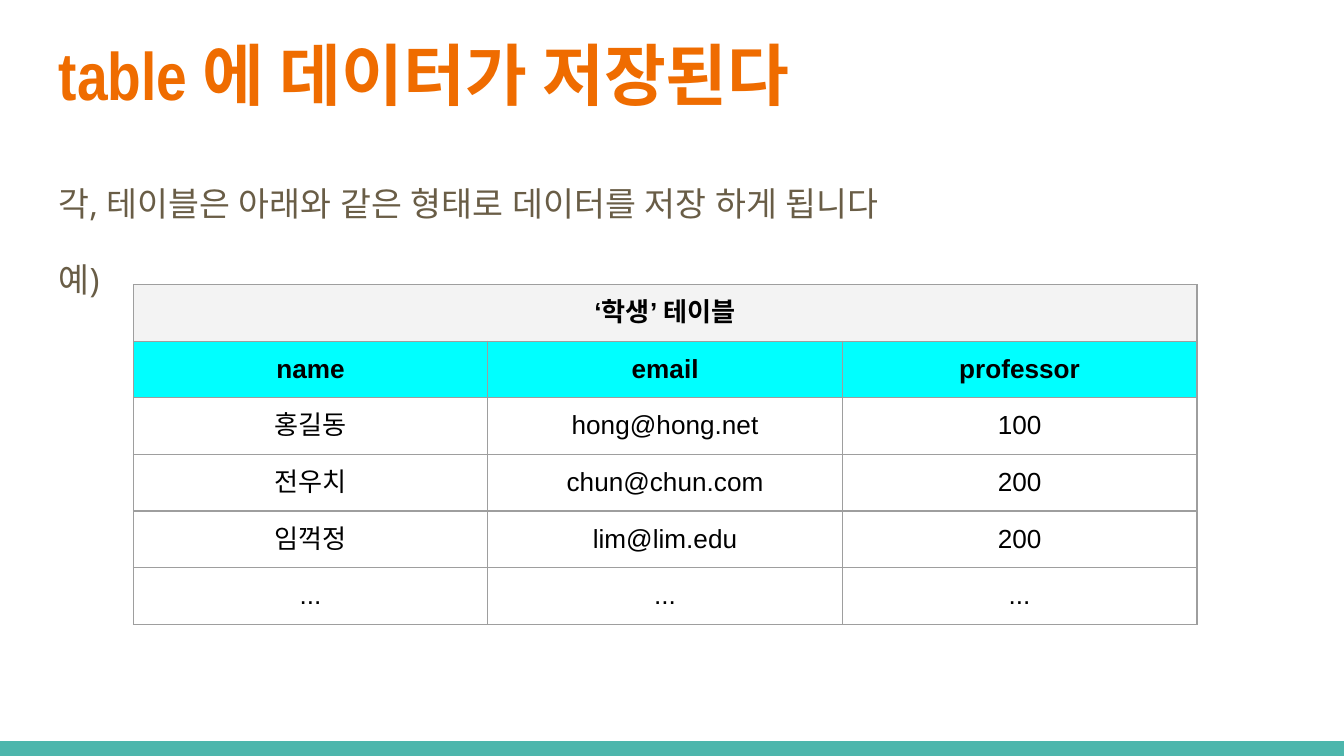
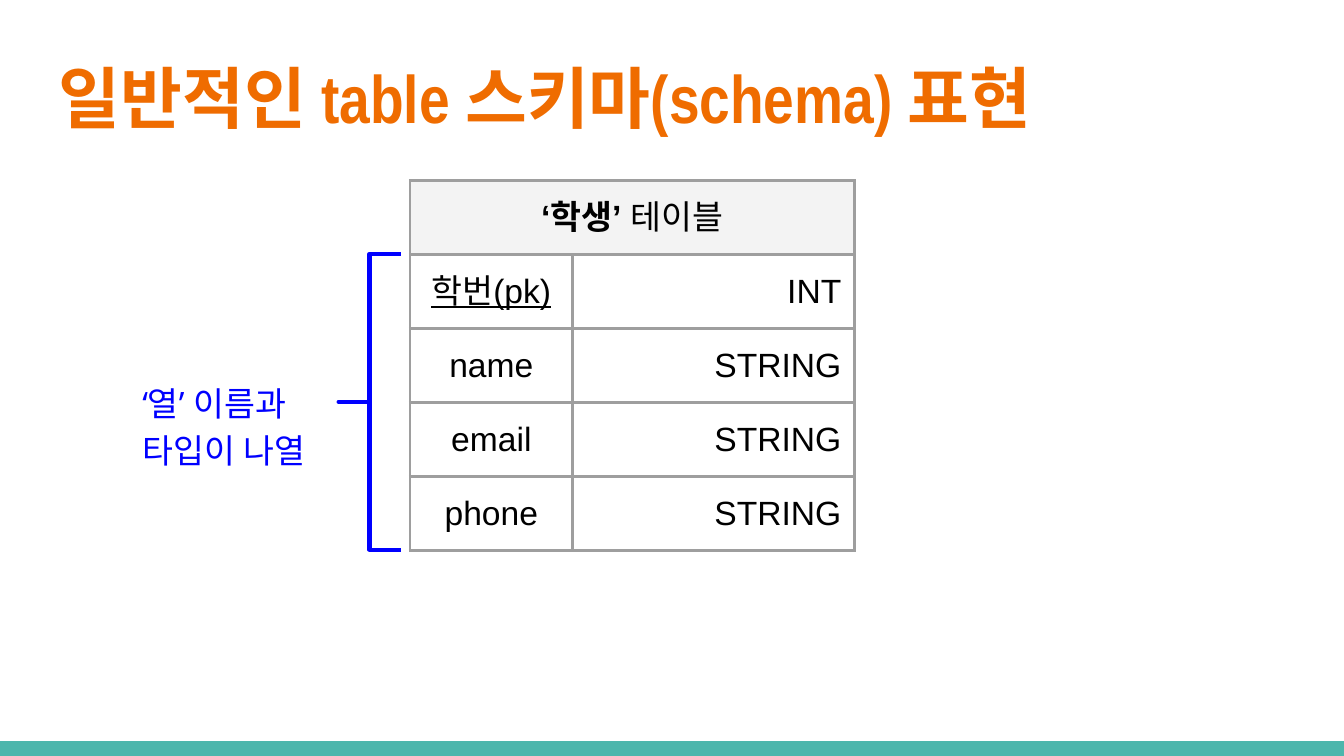
from dataclasses import dataclass, field
from typing import Any

from lxml import etree
from pptx import Presentation
from pptx import util as u
from pptx.dml.color import RGBColor
from pptx.enum import shapes, text
from pptx.oxml.ns import qn

COLOURS = {
    "title": "EF6C00",
    "body": "695D46",
    "band": "4DB6AC",
    "note": "0000FF",
    "cell": "000000",
    "border": "9E9E9E",
    "caption": "F3F3F3",
    "header": "00FFFF",
}
LEFT, CENTER, RIGHT = text.PP_ALIGN.LEFT, text.PP_ALIGN.CENTER, text.PP_ALIGN.RIGHT
TOP, MIDDLE = text.MSO_ANCHOR.TOP, text.MSO_ANCHOR.MIDDLE
SLIDE_WIDTH, SLIDE_HEIGHT = u.Cm(25.4), u.Cm(14.29)
BAND_HEIGHT = u.Cm(0.28)
MARGIN, CONTENT_WIDTH = 0.86, 23.67
INSET = 0.25
INSET_SIDES = ("margin_left", "margin_top", "margin_right", "margin_bottom")


@dataclass(frozen=True)
class Style:
    font: str
    size: float
    colour: str
    bold: bool = False
    underline: bool = False


@dataclass(frozen=True)
class Run:
    words: str
    style: Style


@dataclass(frozen=True)
class Paragraph:
    runs: list[Run]
    spacing: dict[str, Any] = field(default_factory=dict)


@dataclass(frozen=True)
class Box:
    left: float
    top: float
    width: float
    height: float

    def lengths(self) -> tuple[u.Length, ...]:
        return tuple(u.Cm(n) for n in (self.left, self.top, self.width, self.height))


@dataclass(frozen=True)
class Cell:
    runs: list[Run]
    align: Any = CENTER
    fill: str | None = None


@dataclass(frozen=True)
class Grid:
    left: float
    top: float
    columns: list[float]
    row_height: float
    border_width: float
    anchor: Any
    rows: list[list[Cell]]


TITLE = Style("Arial Narrow", 36, "title", bold=True)
BODY = Style("Open Sans", 18, "body")
NOTE = Style("Open Sans", 18, "note")
RECORD = Style("Arial", 14, "cell")
RECORD_BOLD = Style("Arial", 14, "cell", bold=True)
SCHEMA = Style("Arial", 18, "cell")
SCHEMA_BOLD = Style("Arial", 18, "cell", bold=True)
SCHEMA_KEY = Style("Arial", 18, "cell", underline=True)


def rgb(name: str) -> RGBColor:
    return RGBColor.from_string(COLOURS[name])


def apply(target: Any, values: dict[str, Any]) -> None:
    for name, value in values.items():
        setattr(target, name, value)


def style_run(run: Any, style: Style) -> None:
    """Format a run, using the same typeface for Latin and Korean letters."""
    apply(run.font, {
        "name": style.font,
        "size": u.Pt(style.size),
        "bold": style.bold,
        "underline": style.underline,
    })
    run.font.color.rgb = rgb(style.colour)
    latin = run.font._element.find(qn("a:latin"))
    for tag in ("a:cs", "a:ea"):
        typeface = etree.Element(qn(tag), typeface=style.font)
        latin.addnext(typeface)


def write_runs(paragraph: Any, runs: list[Run], align: Any) -> None:
    paragraph.alignment = align
    for part in runs:
        for index, line in enumerate(part.words.split("\n")):
            if index:
                paragraph.add_line_break()
            run = paragraph.add_run()
            run.text = line
            style_run(run, part.style)


def write_frame(frame: Any, paragraphs: list[Paragraph], anchor: Any = TOP,
                inset: float = INSET) -> None:
    apply(frame, {
        "word_wrap": True,
        "auto_size": text.MSO_AUTO_SIZE.NONE,
        "vertical_anchor": anchor,
        **dict.fromkeys(INSET_SIDES, u.Cm(inset)),
    })
    for index, content in enumerate(paragraphs):
        paragraph = frame.add_paragraph() if index else frame.paragraphs[0]
        apply(paragraph, content.spacing)
        write_runs(paragraph, content.runs, LEFT)


def add_text(slide: Any, box: Box, paragraphs: list[Paragraph], anchor: Any = TOP,
             inset: float = INSET) -> None:
    frame = slide.shapes.add_textbox(*box.lengths()).text_frame
    write_frame(frame, paragraphs, anchor, inset)


def add_titled_slide(deck: Any, title: str, top: float) -> Any:
    """Add a slide with the bottom band and its title."""
    slide = deck.slides.add_slide(deck.slide_layouts[5])
    band = slide.shapes.add_shape(shapes.MSO_SHAPE.RECTANGLE, 0, SLIDE_HEIGHT - BAND_HEIGHT,
                                  SLIDE_WIDTH, BAND_HEIGHT)
    band.shadow.inherit = False
    band.fill.solid()
    band.fill.fore_color.rgb = rgb("band")
    band.line.fill.background()

    heading = slide.shapes.title
    lengths = Box(MARGIN, top, CONTENT_WIDTH, 1.96).lengths()
    apply(heading, dict(zip(("left", "top", "width", "height"), lengths)))
    write_frame(heading.text_frame, [Paragraph([Run(title, TITLE)])])
    return slide


def border_cell(cell: Any, width: float) -> None:
    properties = cell._tc.get_or_add_tcPr()
    for index, tag in enumerate(("a:lnL", "a:lnR", "a:lnT", "a:lnB")):
        line = etree.Element(qn(tag), w=str(u.Pt(width)))
        fill = etree.SubElement(line, qn("a:solidFill"))
        etree.SubElement(fill, qn("a:srgbClr"), val=COLOURS["border"])
        properties.insert(index, line)


def add_grid(slide: Any, grid: Grid) -> None:
    """Add a table whose first row is one caption cell across all columns."""
    count = len(grid.rows)
    box = Box(grid.left, grid.top, sum(grid.columns), count * grid.row_height)
    table = slide.shapes.add_table(count, len(grid.columns), *box.lengths()).table
    apply(table, {"first_row": False, "horz_banding": False})
    for column, width in zip(table.columns, grid.columns):
        column.width = u.Cm(width)
    for row in table.rows:
        row.height = u.Cm(grid.row_height)
    table.cell(0, 0).merge(table.cell(0, len(grid.columns) - 1))

    for row, contents in zip(table.rows, grid.rows):
        for cell, content in zip(row.cells, contents):
            apply(cell, {"vertical_anchor": grid.anchor,
                         **dict.fromkeys(INSET_SIDES, u.Cm(INSET))})
            write_runs(cell.text_frame.paragraphs[0], content.runs, content.align)
            if content.fill:
                cell.fill.solid()
                cell.fill.fore_color.rgb = rgb(content.fill)
        for cell in row.cells:
            if cell.fill.type is None:
                cell.fill.background()
            border_cell(cell, grid.border_width)


def add_records_slide(deck: Any) -> None:
    slide = add_titled_slide(deck, "table 에 데이터가 저장된다", 0.38)
    add_text(slide, Box(MARGIN, 3.1, CONTENT_WIDTH, 1.57), [
        Paragraph([Run("각, 테이블은 아래와 같은 형태로 데이터를 저장 하게 됩니다", BODY)],
                  {"line_spacing": 1.15}),
        Paragraph([Run("예) ", BODY)],
                  {"line_spacing": 1.15, "space_before": u.Pt(16), "space_after": u.Pt(16)}),
    ])
    students = [
        ("홍길동", "hong@hong.net", "100"),
        ("전우치", "chun@chun.com", "200"),
        ("임꺽정", "lim@lim.edu", "200"),
        ("...", "...", "..."),
    ]
    caption = [Cell([Run("‘학생’ 테이블", RECORD_BOLD)], fill="caption")]
    header = [Cell([Run(name, RECORD_BOLD)], fill="header")
              for name in ("name", "email", "professor")]
    records = [[Cell([Run(value, RECORD)]) for value in student] for student in students]
    add_grid(slide, Grid(2.52, 5.38, [6.7] * 3, 1.07, 0.75, TOP, [caption, header, *records]))


def add_schema_slide(deck: Any) -> None:
    slide = add_titled_slide(deck, "일반적인 table 스키마(schema) 표현", 0.81)
    columns = [
        ("학번(pk)", "INT", SCHEMA_KEY),
        ("name", "STRING", SCHEMA),
        ("email", "STRING", SCHEMA),
        ("phone", "STRING", SCHEMA),
    ]
    caption = [Cell([Run("‘학생’", SCHEMA_BOLD), Run(" 테이블", SCHEMA)], fill="caption")]
    definitions = [[Cell([Run(name, style)]), Cell([Run(kind, SCHEMA)], RIGHT)]
                   for name, kind, style in columns]
    add_grid(slide, Grid(7.75, 3.41, [3.07, 5.33], 1.4, 1.5, MIDDLE, [caption, *definitions]))

    brace = slide.shapes.add_shape(shapes.MSO_SHAPE.LEFT_BRACE,
                                   *Box(6.4, 4.8, 1.17, 5.59).lengths())
    brace.shadow.inherit = False
    brace.adjustments[0] = 0
    brace.adjustments[1] = 0.5
    brace.fill.background()
    brace.line.color.rgb = rgb("note")
    brace.line.width = u.Pt(2.25)

    add_text(slide, Box(2.69, 6.76, 4.37, 2.49), [
        Paragraph([Run("‘열’ 이름과\n타입이 나열", NOTE)],
                  {"line_spacing": 1.15, "space_after": u.Pt(16)}),
    ], MIDDLE, 0)


def main() -> None:
    deck = Presentation()
    apply(deck, {"slide_width": SLIDE_WIDTH, "slide_height": SLIDE_HEIGHT})
    add_records_slide(deck)
    add_schema_slide(deck)
    deck.save("out.pptx")


if __name__ == "__main__":
    main()
